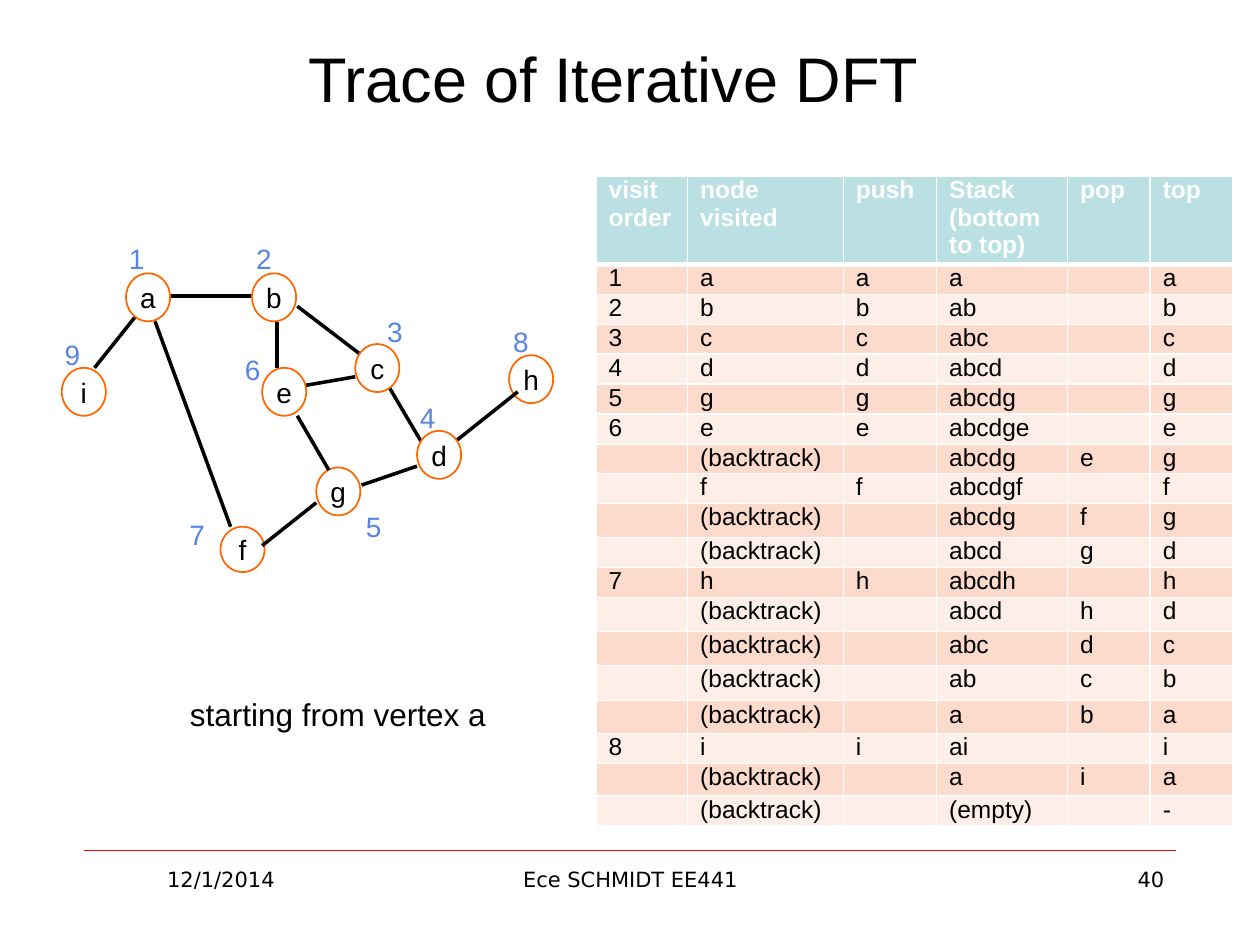
from dataclasses import dataclass
from typing import Optional

from lxml import etree
from pptx import Presentation
from pptx import util as u
from pptx.dml.color import RGBColor
from pptx.enum import shapes, text
from pptx.oxml import ns

BLACK, WHITE = "000000", "FFFFFF"
ORANGE, BLUE, RED = "FF6600", "5785E0", "FF0000"
HEADER_FILL, BAND_FILLS = "BBE0E3", ("FDEEE7", "FCDBCC")
CELL_SIZE = 14


@dataclass(frozen=True)
class Style:
    size: float
    color: str = BLACK
    font: str = "Arial"
    bold: bool = False
    align: text.PP_ALIGN = text.PP_ALIGN.LEFT


@dataclass(frozen=True)
class Circle:
    label: str
    left: float
    top: float
    height: float = 27.4


@dataclass(frozen=True)
class Edge:
    x1: float
    y1: float
    x2: float
    y2: float


@dataclass(frozen=True)
class Caption:
    words: str
    left: float
    top: float
    width: float
    height: float
    style: Style
    anchor: text.MSO_ANCHOR = text.MSO_ANCHOR.TOP
    wrap: bool = True
    right_inset: float = 7.2


CENTER, RIGHT = text.PP_ALIGN.CENTER, text.PP_ALIGN.RIGHT
NODE_STYLE = Style(16, align=CENTER)
ORDER_STYLE = Style(16, BLUE, align=CENTER)
FOOTER_CENTER = Style(12, font="DejaVu Sans", align=CENTER)
FOOTER_RIGHT = Style(12, font="DejaVu Sans", align=RIGHT)

CAPTIONS = [
    Caption("Trace of Iterative DFT", 48.2, 21.6, 635.8, 44.6, Style(36, align=CENTER),
            text.MSO_ANCHOR.MIDDLE, right_inset=38),
    Caption("starting from vertex a", 101.5, 393.8, 185, 28.8, Style(18), wrap=False),
    Caption("40", 516.2, 491.8, 156.2, 37.4, FOOTER_RIGHT),
    Caption("12/1/2014", 48.2, 491.8, 156.2, 37.4, FOOTER_CENTER),
    Caption("Ece SCHMIDT EE441", 246.2, 491.8, 228.2, 37.4, FOOTER_CENTER),
]
NODES = [
    Circle("a", 72, 156.2), Circle("i", 35.3, 210.2), Circle("b", 144, 156.2),
    Circle("c", 203, 196.6), Circle("d", 238.3, 246.2), Circle("e", 149.8, 210.2),
    Circle("f", 126, 301, 25.9), Circle("g", 180.7, 267.1), Circle("h", 290.9, 203),
]
VISIT_ORDERS = [
    Circle("1", 65.5, 133.9), Circle("9", 28.8, 188.6), Circle("2", 138.2, 133.9),
    Circle("3", 213.1, 175.7), Circle("4", 231.8, 224.6), Circle("6", 131.8, 197.3),
    Circle("7", 100.1, 292.3, 25.9), Circle("5", 200.9, 287.3), Circle("8", 285.1, 181.4),
]
EDGES_BEHIND = [
    Edge(144.7, 169.2, 97.2, 169.2), Edge(169.9, 175, 206.6, 203),
    Edge(158.4, 184.3, 158.4, 210.2), Edge(203, 215.3, 174.2, 220.3),
    Edge(77, 181.4, 54, 210.2), Edge(221.8, 220.3, 240.5, 252),
    Edge(238.3, 266.4, 206.6, 277.2),
]
EDGES_IN_FRONT = [
    Edge(169.9, 237.6, 187.9, 268.6), Edge(261.4, 251.3, 295.9, 223.9),
    Edge(88.6, 183.6, 131.8, 301), Edge(149.8, 311.8, 180.7, 287.3),
]
COLUMN_WIDTHS = [52.3, 89, 53.3, 74.9, 47.2, 47.2]
ROW_HEIGHTS = [50.4, *[13] * 6, 15.8, 13, 19.4, 17.3, 13, 19.4, 19.4, 20.2, 18.7,
               13.7, 18.7, 15.8]
TRACE = [
    ("visit order", "node visited", "push", "Stack (bottom to top)", "pop", "top"),
    ("1", "a", "a", "a", "", "a"),
    ("2", "b", "b", "ab", "", "b"),
    ("3", "c", "c", "abc", "", "c"),
    ("4", "d", "d", "abcd", "", "d"),
    ("5", "g", "g", "abcdg", "", "g"),
    ("6", "e", "e", "abcdge", "", "e"),
    ("", "(backtrack)", "", "abcdg", "e", "g"),
    ("", "f", "f", "abcdgf", "", "f"),
    ("", "(backtrack)", "", "abcdg", "f", "g"),
    ("", "(backtrack)", "", "abcd", "g", "d"),
    ("7", "h", "h", "abcdh", "", "h"),
    ("", "(backtrack)", "", "abcd", "h", "d"),
    ("", "(backtrack)", "", "abc", "d", "c"),
    ("", "(backtrack)", "", "ab", "c", "b"),
    ("", "(backtrack)", "", "a", "b", "a"),
    ("8", "i", "i", "ai", "", "i"),
    ("", "(backtrack)", "", "a", "i", "a"),
    ("", "(backtrack)", "", "(empty)", "", "-"),
]


def rgb(color: str) -> RGBColor:
    return RGBColor.from_string(color)


def write(frame, words: str, style: Style) -> None:
    para = frame.paragraphs[0]
    para.alignment = style.align
    span = para.add_run()
    span.text = words
    span.font.size = u.Pt(style.size)
    span.font.name = style.font
    span.font.bold = style.bold
    span.font.color.rgb = rgb(style.color)


def draw_caption(page, caption: Caption) -> None:
    box = page.shapes.add_textbox(u.Pt(caption.left), u.Pt(caption.top),
                                  u.Pt(caption.width), u.Pt(caption.height))
    frame = box.text_frame
    frame.word_wrap = caption.wrap
    frame.vertical_anchor = caption.anchor
    frame.margin_right = u.Pt(caption.right_inset)
    write(frame, caption.words, caption.style)


def draw_edge(parent, edge: Edge, color: str = BLACK, width: float = 2) -> None:
    line = parent.shapes.add_connector(shapes.MSO_CONNECTOR.STRAIGHT, u.Pt(edge.x1),
                                       u.Pt(edge.y1), u.Pt(edge.x2), u.Pt(edge.y2))
    line.line.color.rgb = rgb(color)
    line.line.width = u.Pt(width)
    etree.SubElement(line._element.spPr, ns.qn("a:effectLst"))


def draw_circle(parent, circle: Circle, style: Style, outline: Optional[str] = None) -> None:
    oval = parent.shapes.add_shape(shapes.MSO_SHAPE.OVAL, u.Pt(circle.left), u.Pt(circle.top),
                                   u.Pt(25.2), u.Pt(circle.height))
    oval.shadow.inherit = False
    if outline:
        oval.fill.solid()
        oval.fill.fore_color.rgb = rgb(WHITE)
        oval.line.color.rgb = rgb(outline)
        oval.line.width = u.Pt(1)
    else:
        oval.fill.background()
        oval.line.fill.background()
    oval.text_frame.word_wrap = False
    oval.text_frame.vertical_anchor = text.MSO_ANCHOR.MIDDLE
    write(oval.text_frame, circle.label, style)


def draw_border(cell, side: str, width: float) -> None:
    line = etree.SubElement(cell._tc.get_or_add_tcPr(), ns.qn(f"a:ln{side}"),
                            w=str(u.Pt(width)))
    fill = etree.SubElement(line, ns.qn("a:solidFill"))
    etree.SubElement(fill, ns.qn("a:srgbClr"), val=WHITE)


def fill_cell(cell, words: str, row: int) -> None:
    header = row == 0
    cell.margin_top = cell.margin_bottom = u.Pt(0)
    thick_side = {0: "B", 1: "T"}.get(row)
    for side in "LRTB":
        draw_border(cell, side, 3 if side == thick_side else 1)
    cell.fill.solid()
    cell.fill.fore_color.rgb = rgb(HEADER_FILL if header else BAND_FILLS[row % 2])
    if words:
        write(cell.text_frame, words, Style(CELL_SIZE, WHITE if header else BLACK, bold=header))
    else:
        etree.SubElement(cell.text_frame.paragraphs[0]._p, ns.qn("a:endParaRPr"),
                         sz=str(CELL_SIZE * 100))


def draw_trace(page) -> None:
    table = page.shapes.add_table(len(TRACE), len(COLUMN_WIDTHS), u.Pt(340.6), u.Pt(100.8),
                                  u.Pt(sum(COLUMN_WIDTHS)), u.Pt(sum(ROW_HEIGHTS))).table
    for column, width in zip(table.columns, COLUMN_WIDTHS):
        column.width = u.Pt(width)
    for index, (row, height, entries) in enumerate(zip(table.rows, ROW_HEIGHTS, TRACE)):
        row.height = u.Pt(height)
        for cell, words in zip(row.cells, entries):
            fill_cell(cell, words, index)


def main() -> None:
    deck = Presentation()
    deck.slide_width, deck.slide_height = u.Pt(720), u.Pt(540)
    page = deck.slides.add_slide(deck.slide_layouts[6])
    draw_edge(page, Edge(48.2, 486, 671.8, 486), RED, 0.25)
    graph = page.shapes.add_group_shape()
    for edge in EDGES_BEHIND:
        draw_edge(graph, edge)
    for node in NODES:
        draw_circle(graph, node, NODE_STYLE, ORANGE)
    for order in VISIT_ORDERS:
        draw_circle(graph, order, ORDER_STYLE)
    for edge in EDGES_IN_FRONT:
        draw_edge(graph, edge)
    draw_trace(page)
    for caption in CAPTIONS:
        draw_caption(page, caption)
    deck.save("out.pptx")


if __name__ == "__main__":
    main()
